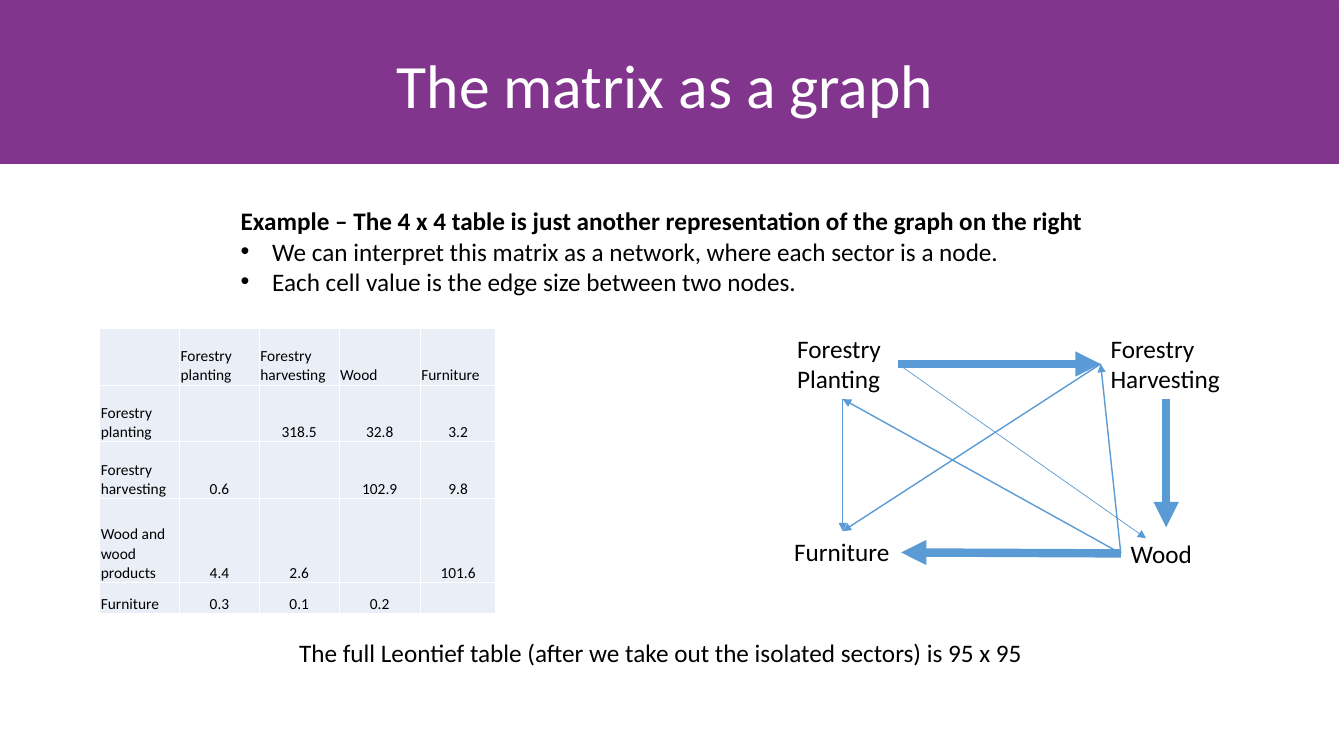
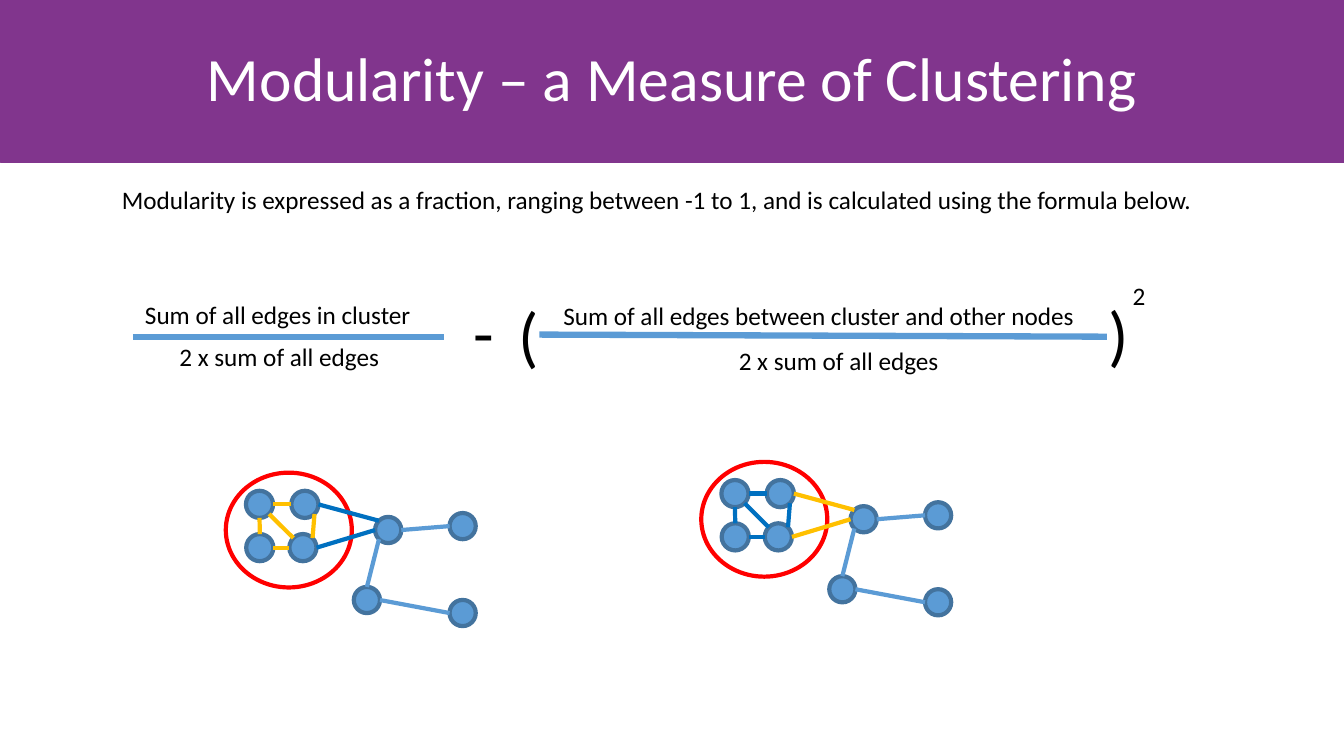
from dataclasses import dataclass
from math import cos, radians, sin
from typing import Any

from lxml.etree import SubElement
from pptx import Presentation
from pptx.dml.color import RGBColor
from pptx.enum.shapes import MSO_CONNECTOR, MSO_SHAPE
from pptx.enum.text import MSO_ANCHOR, MSO_AUTO_SIZE, PP_ALIGN
from pptx.oxml.ns import qn
from pptx.util import Pt

# Shared look
COLORS = {
    "band": "81358D", "title": "FFFFFF", "text": "000000", "cell": "EAEFF7",
    "blue": "5B9BD5", "rim": "43739E", "ring": "FF0000",
    "dark": "0070C0", "gold": "FFC000",
}
WIDE, HIGH = 960, 540
BAND_H = 116.6
TITLE_W, TITLE_H = 828, 104.4
LINE_H = 29.1  # one-line label

BODY_FONT = {"name": "Calibri", "size": Pt(18), "bold": False}
TITLE_FONT = {**BODY_FONT, "size": Pt(44)}
CELL_FONT = {**BODY_FONT, "size": Pt(11)}
TITLE_FRAME = {"word_wrap": True, "auto_size": MSO_AUTO_SIZE.NONE,
               "vertical_anchor": MSO_ANCHOR.MIDDLE}
LABEL_FRAME = {"word_wrap": False, "auto_size": MSO_AUTO_SIZE.SHAPE_TO_FIT_TEXT}
CELL_FRAME = {"vertical_anchor": MSO_ANCHOR.BOTTOM, "margin_left": Pt(0.7),
              "margin_right": Pt(0.7), "margin_top": Pt(0.7), "margin_bottom": 0}
PLAIN_GRID = {"first_row": False, "horz_banding": False}

Point = tuple[float, float]


@dataclass
class Label:
    x: float
    y: float
    w: float
    lines: tuple[str, ...]
    h: float = LINE_H
    size: float = 18
    listed: bool = False  # bold heading, then bullets


@dataclass
class Stroke:
    start: Point
    end: Point
    width: float
    color: str = "blue"
    arrow: bool = False


@dataclass
class Node:
    x: float
    y: float
    size: float


@dataclass
class Edge:
    start: str
    out: int  # rim site: 0 is the top, then counterclockwise by 45 degrees
    end: str
    into: int
    kind: str


# Helpers
def rgb(name: str) -> RGBColor:
    return RGBColor.from_string(COLORS[name])


def assign(target: Any, values: dict[str, Any]) -> None:
    for key, value in values.items():
        setattr(target, key, value)


def style(font: Any, values: dict[str, Any], color: str = "text") -> None:
    assign(font, values)
    font.color.rgb = rgb(color)


def add_bullet(para: Any) -> None:
    props = para._p.get_or_add_pPr()
    props.set("marL", str(Pt(22.5)))
    props.set("indent", str(-Pt(22.5)))
    SubElement(props, qn("a:buFont")).set("typeface", "Arial")
    SubElement(props, qn("a:buChar")).set("char", "•")


def draw_label(slide: Any, label: Label) -> None:
    box = slide.shapes.add_textbox(Pt(label.x), Pt(label.y), Pt(label.w), Pt(label.h))
    frame = box.text_frame
    assign(frame, LABEL_FRAME)
    for row, line in enumerate(label.lines):
        para = frame.add_paragraph() if row else frame.paragraphs[0]
        run = para.add_run()
        run.text = line
        style(run.font, {**BODY_FONT, "size": Pt(label.size),
                         "bold": label.listed and row == 0})
        if label.listed and row:
            add_bullet(para)


def draw_stroke(shapes: Any, stroke: Stroke) -> None:
    ends = [Pt(value) for value in (*stroke.start, *stroke.end)]
    link = shapes.add_connector(MSO_CONNECTOR.STRAIGHT, *ends)
    link.line.color.rgb = rgb(stroke.color)
    link.line.width = Pt(stroke.width)
    props = link.element.spPr
    if stroke.arrow:
        SubElement(props.find(qn("a:ln")), qn("a:tailEnd")).set("type", "triangle")
    SubElement(props, qn("a:effectLst"))


def draw_shape(shapes: Any, kind: MSO_SHAPE, x: float, y: float, w: float, h: float,
               fill: str | None, edge: str, width: float) -> Any:
    shape = shapes.add_shape(kind, Pt(x), Pt(y), Pt(w), Pt(h))
    shape.shadow.inherit = False
    if fill:
        shape.fill.solid()
        shape.fill.fore_color.rgb = rgb(fill)
    else:
        shape.fill.background()
    shape.line.color.rgb = rgb(edge)
    shape.line.width = Pt(width)
    return shape


def add_page(deck: Any, text: str, band: Point, spot: Point) -> Any:
    slide = deck.slides.add_slide(deck.slide_layouts[5])
    title = slide.shapes.title
    assign(title, {"left": Pt(spot[0]), "top": Pt(spot[1]),
                   "width": Pt(TITLE_W), "height": Pt(TITLE_H)})
    assign(title.text_frame, TITLE_FRAME)
    para = title.text_frame.paragraphs[0]
    assign(para, {"alignment": PP_ALIGN.CENTER, "line_spacing": 0.9})
    run = para.add_run()
    run.text = text
    style(run.font, TITLE_FONT, "title")
    # Band goes behind the title
    bar = draw_shape(slide.shapes, MSO_SHAPE.RECTANGLE, *band, WIDE, BAND_H,
                     "band", "band", 0.5)
    title.element.addprevious(bar.element)
    return slide


def draw_table(slide: Any, x: float, y: float, widths: list[float],
               heights: list[float], rows: list[list[str]]) -> None:
    frame = slide.shapes.add_table(len(rows), len(widths), Pt(x), Pt(y),
                                   Pt(sum(widths)), Pt(sum(heights)))
    grid = frame.table
    assign(grid, PLAIN_GRID)
    for col, width in zip(grid.columns, widths):
        col.width = Pt(width)
    for row, height in zip(grid.rows, heights):
        row.height = Pt(height)
    for r, row in enumerate(rows):
        for c, text in enumerate(row):
            cell = grid.cell(r, c)
            assign(cell, CELL_FRAME)
            cell.fill.solid()
            cell.fill.fore_color.rgb = rgb("cell")
            para = cell.text_frame.paragraphs[0]
            para.alignment = PP_ALIGN.CENTER if r and c else PP_ALIGN.LEFT
            run = para.add_run()
            run.text = text
            style(run.font, CELL_FONT)


def rim_point(node: Node, site: int) -> Point:
    turn = radians(45 * site)
    return (node.x - node.size / 2 * sin(turn), node.y - node.size / 2 * cos(turn))


def draw_net(slide: Any, left: float, top: float, tints: dict[str, str]) -> None:
    shapes = slide.shapes.add_group_shape().shapes
    draw_shape(shapes, MSO_SHAPE.OVAL, left, top, 90, 82, None, "ring", 3)
    nodes = {name: Node(left + node.x, top + node.y, node.size)
             for name, node in NODES.items()}
    for node in nodes.values():
        draw_shape(shapes, MSO_SHAPE.OVAL, node.x - node.size / 2,
                   node.y - node.size / 2, node.size, node.size, "blue", "rim", 3)
    for edge in EDGES:
        draw_stroke(shapes, Stroke(rim_point(nodes[edge.start], edge.out),
                                   rim_point(nodes[edge.end], edge.into),
                                   3, tints[edge.kind]))


# Matrix slide
SECTORS = [
    Label(800.6, 380.9, 59, ("Wood",)),
    Label(786.2, 234.7, 93.6, ("Forestry", "Harvesting"), 51),
    Label(562.3, 234.7, 79.2, ("Forestry", "Planting"), 51),
    Label(560.2, 379.4, 83.5, ("Furniture",)),
]
NOTES = [
    Label(206.6, 451.4, 537.8, (
        "The full Leontief table (after we take out the isolated sectors) is 95 x 95",)),
    Label(164.9, 143.3, 621.4, (
        "Example – The 4 x 4 table is just another representation of the graph on the right",
        "We can interpret this matrix as a network, where each sector is a node.",
        "Each cell value is the edge size between two nodes."), 94.3, listed=True),
]
PORTS = {
    "plant side": (641.5, 260), "plant foot": (602, 285.1),
    "harvest side": (786.2, 260), "harvest foot": (833, 285.1),
    "wood side": (800.6, 395.3), "wood top": (833, 376.6),
    "wood tip": (818.6, 384.5),
    "chair top": (602, 379.4), "chair side": (643.7, 394.6),
}
FLOWS = [
    ("plant side", "harvest side", 6), ("plant side", "wood tip", 0.5),
    ("plant foot", "chair top", 0.5), ("harvest foot", "wood top", 6),
    ("harvest side", "chair top", 1), ("wood side", "plant foot", 1),
    ("wood side", "harvest side", 1), ("wood side", "chair side", 6),
]
MATRIX = [
    ["", "Forestry planting", "Forestry harvesting", "Wood", "Furniture"],
    ["Forestry planting", "", "318.5", "32.8", "3.2"],
    ["Forestry harvesting", "0.6", "", "102.9", "9.8"],
    ["Wood and wood products", "4.4", "2.6", "", "101.6"],
    ["Furniture", "0.3", "0.1", "0.2", ""],
]

# Formula and clusters
TERMS = [
    Label(96.5, 210.2, 206.6, ("Sum of all edges in cluster",)),
    Label(121, 240.5, 159.1, ("2 x sum of all edges",)),
    Label(331.2, 203.8, 29.5, ("-",), 65.5, 48),
    Label(395.3, 211, 383.8, ("Sum of all edges between cluster and other nodes",)),
    Label(520.6, 243.4, 159.1, ("2 x sum of all edges",)),
    Label(363.6, 205.9, 29.5, ("(",), 65.5, 48),
    Label(784.8, 205.2, 29.5, (")",), 65.5, 48),
    Label(802, 196.6, 23.8, ("2",)),
    Label(80, 128.2, 792, (
        "Modularity is expressed as a fraction, ranging between -1 to 1, "
        "and is calculated using the formula below.",)),
]
BARS = [
    Stroke((95, 240.5), (317.5, 240.5), 4.5),
    Stroke((385.2, 239), (790.6, 240.5), 4.5),
]
NODES = {
    "fork": Node(100.8, 91, 18.7), "hub": Node(116, 41, 18.7),
    "high": Node(169.2, 38.2, 18.7), "low": Node(169.2, 100.3, 18.7),
    "a": Node(24.1, 22.7, 19.4), "b": Node(24.3, 53.6, 19.4),
    "c": Node(56.5, 22.7, 19.4), "d": Node(55.1, 53.6, 19.4),
}
EDGES = [
    Edge("hub", 2, "d", 6, "bridge"), Edge("hub", 6, "high", 2, "outer"),
    Edge("hub", 1, "c", 6, "bridge"), Edge("fork", 0, "hub", 3, "outer"),
    Edge("fork", 6, "low", 2, "outer"), Edge("d", 2, "b", 6, "inner"),
    Edge("d", 7, "c", 5, "inner"), Edge("b", 0, "a", 4, "inner"),
    Edge("d", 1, "a", 5, "inner"), Edge("c", 2, "a", 6, "inner"),
]


def build_matrix(deck: Any) -> None:
    slide = add_page(deck, "The matrix as a graph", (-4.3, 0), (61.2, 10.8))
    draw_table(slide, 71.3, 234.7, [57, 57, 57, 58, 54],
               [40.4, 40.4, 40.4, 60, 22.3], MATRIX)
    for label in SECTORS + NOTES:
        draw_label(slide, label)
    for start, end, width in FLOWS:
        draw_stroke(slide.shapes, Stroke(PORTS[start], PORTS[end], width, arrow=True))


def build_measure(deck: Any) -> None:
    slide = add_page(deck, "Modularity – a Measure of Clustering", (0, -0.7), (66.2, 5.8))
    for label in TERMS:
        draw_label(slide, label)
    for bar in BARS:
        draw_stroke(slide.shapes, bar)
    # Left net marks edges inside the cluster, right net those leaving it
    draw_net(slide, 161.3, 337.6, {"inner": "gold", "bridge": "dark", "outer": "blue"})
    draw_net(slide, 500.9, 329.9, {"inner": "dark", "bridge": "gold", "outer": "blue"})


deck = Presentation()
assign(deck, {"slide_width": Pt(WIDE), "slide_height": Pt(HIGH)})
build_matrix(deck)
build_measure(deck)
deck.save("out.pptx")
